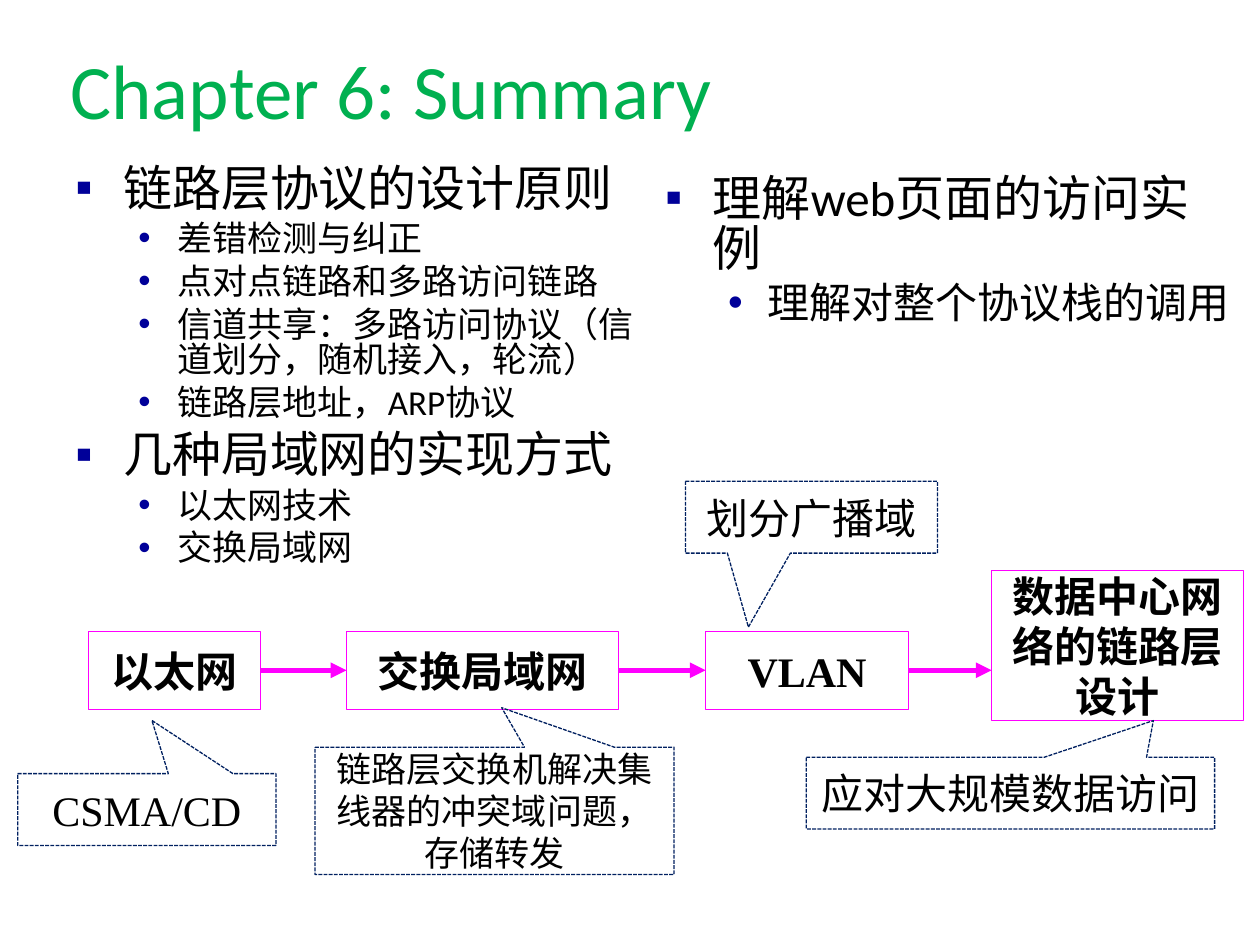
from dataclasses import dataclass

from lxml import etree
from pptx import Presentation
from pptx.dml.color import RGBColor
from pptx.enum.dml import MSO_LINE
from pptx.enum.shapes import MSO_CONNECTOR, MSO_SHAPE
from pptx.enum.text import MSO_ANCHOR, PP_ALIGN
from pptx.oxml.ns import qn
from pptx.util import Inches, Pt

RECTANGLE = MSO_SHAPE.RECTANGLE
CALLOUT = MSO_SHAPE.RECTANGULAR_CALLOUT
STRAIGHT = MSO_CONNECTOR.STRAIGHT
DASH = MSO_LINE.SQUARE_DOT
MIDDLE = MSO_ANCHOR.MIDDLE
LEFT, CENTER = PP_ALIGN.LEFT, PP_ALIGN.CENTER
LEFT_SIDE, RIGHT_SIDE = 1, 3


@dataclass(frozen=True)
class Theme:
    title: str = "00B050"
    text: str = "000000"
    bullet: str = "000099"
    flow: str = "FF00FF"
    note: str = "002060"
    sans: str = "Calibri"
    serif: str = "Times New Roman"
    title_size: int = 44
    topic_size: int = 28
    label_size: int = 24
    detail_size: int = 20


THEME = Theme()
BULLETS = [("▪", 0.38, 0.38), ("•", 0.81, 0.31)]

LINK_TOPICS = [
    (0, "链路层协议的设计原则"),
    (1, "差错检测与纠正"),
    (1, "点对点链路和多路访问链路"),
    (1, "信道共享：多路访问协议（信道划分，随机接入，轮流）"),
    (1, "链路层地址，ARP协议"),
    (0, "几种局域网的实现方式"),
    (1, "以太网技术"),
    (1, "交换局域网"),
]
WEB_TOPICS = [(0, "理解web页面的访问实例"), (1, "理解对整个协议栈的调用")]

STAGES = [
    ("以太网", (0.7, 5.01, 1.37, 0.62)),
    ("交换局域网", (2.75, 5.01, 2.16, 0.62)),
    ("VLAN", (5.6, 5.01, 1.61, 0.62)),
    ("数据中心网络的链路层设计", (7.87, 4.53, 2, 1.19)),
]
NOTES = [
    (["链路层交换机解决集线器的冲突域问题，", "存储转发"],
     (2.5, 5.93, 2.85, 1.01), (0.02, -0.81), THEME.detail_size),
    (["CSMA/CD"], (0.14, 6.14, 2.05, 0.57), (0.02, -1.24), THEME.label_size),
    (["划分广播域"], (5.44, 3.82, 2, 0.57), (-0.25, 1.53), THEME.label_size),
    (["应对大规模数据访问"], (6.4, 6.01, 3.24, 0.57), (0.35, -1.01), THEME.label_size),
]


def set_all(target, values):
    for name, value in values.items():
        setattr(target, name, value)


def set_font(font, name, size, color, bold=False):
    set_all(font, {"name": name, "size": Pt(size), "bold": bold})
    font.color.rgb = RGBColor.from_string(color)


def add_bullet(para, level):
    symbol, margin, hanging = BULLETS[level]
    properties = para._p.get_or_add_pPr()
    properties.set("marL", str(Inches(margin)))
    properties.set("indent", str(-Inches(hanging)))
    color = etree.SubElement(properties, qn("a:buClr"))
    etree.SubElement(color, qn("a:srgbClr"), val=THEME.bullet)
    etree.SubElement(properties, qn("a:buFont"), typeface="Arial")
    etree.SubElement(properties, qn("a:buChar"), char=symbol)


def set_title(page, text):
    title = page.shapes.title
    bounds = map(Inches, (0.46, 0.08, 8.75, 1.25))
    set_all(title, dict(zip(("left", "top", "width", "height"), bounds)))
    title.text_frame.text = text
    title.text_frame.vertical_anchor = MIDDLE
    para = title.text_frame.paragraphs[0]
    para.alignment = LEFT
    set_font(para.font, THEME.sans, THEME.title_size, THEME.title)


def add_outline(page, bounds, topics, detail_size):
    frame = page.shapes.add_textbox(*map(Inches, bounds)).text_frame
    frame.word_wrap = True
    frame.text = "\n".join(text for _, text in topics)
    sizes = (THEME.topic_size, detail_size)
    for index, (para, (level, _)) in enumerate(zip(frame.paragraphs, topics)):
        size = sizes[level]
        add_bullet(para, level)
        set_all(para, {
            "level": level,
            "line_spacing": 0.85,
            "space_before": Pt(size * 0.2 if index else 0),
        })
        set_font(para.font, THEME.sans, size, THEME.text)


def add_box(page, kind, bounds, lines, size, color, bold=False):
    box = page.shapes.add_shape(kind, *map(Inches, bounds))
    box.shadow.inherit = False
    box.fill.background()
    box.line.color.rgb = RGBColor.from_string(color)
    box.line.width = Pt(0.75)
    frame = box.text_frame
    set_all(frame, {"word_wrap": True, "vertical_anchor": MIDDLE})
    frame.text = "\n".join(lines)
    for para in frame.paragraphs:
        para.alignment = CENTER
        set_font(para.font, THEME.serif, size, THEME.text, bold)
    return box


def add_note(page, lines, bounds, tip, size):
    note = add_box(page, CALLOUT, bounds, lines, size, THEME.note)
    note.line.dash_style = DASH
    for index, offset in enumerate(tip):
        note.adjustments[index] = offset


def add_arrow(page, source, target):
    height = source.top + source.height // 2
    arrow = page.shapes.add_connector(
        STRAIGHT, source.left + source.width, height, target.left, height)
    arrow.begin_connect(source, RIGHT_SIDE)
    if abs(target.top + target.height // 2 - height) < Inches(0.02):
        arrow.end_connect(target, LEFT_SIDE)
    arrow.line.color.rgb = RGBColor.from_string(THEME.flow)
    arrow.line.width = Pt(3)
    etree.SubElement(arrow.line._get_or_add_ln(), qn("a:tailEnd"), type="triangle")
    etree.SubElement(arrow._element.spPr, qn("a:effectLst"))


def main():
    deck = Presentation()
    set_all(deck, {"slide_width": Inches(10), "slide_height": Inches(7.5)})
    page = deck.slides.add_slide(deck.slide_layouts.get_by_name("Title Only"))
    set_title(page, "Chapter 6: Summary")
    add_outline(page, (0.5, 1.27, 4.69, 3.15), LINK_TOPICS, THEME.detail_size)
    stages = [
        add_box(page, RECTANGLE, bounds, [text], THEME.label_size, THEME.flow, bold=True)
        for text, bounds in STAGES
    ]
    for source, target in zip(stages, stages[1:]):
        add_arrow(page, source, target)
    for note in NOTES:
        add_note(page, *note)
    add_outline(page, (5.18, 1.35, 4.69, 1.78), WEB_TOPICS, THEME.label_size)
    deck.save("out.pptx")


if __name__ == "__main__":
    main()
